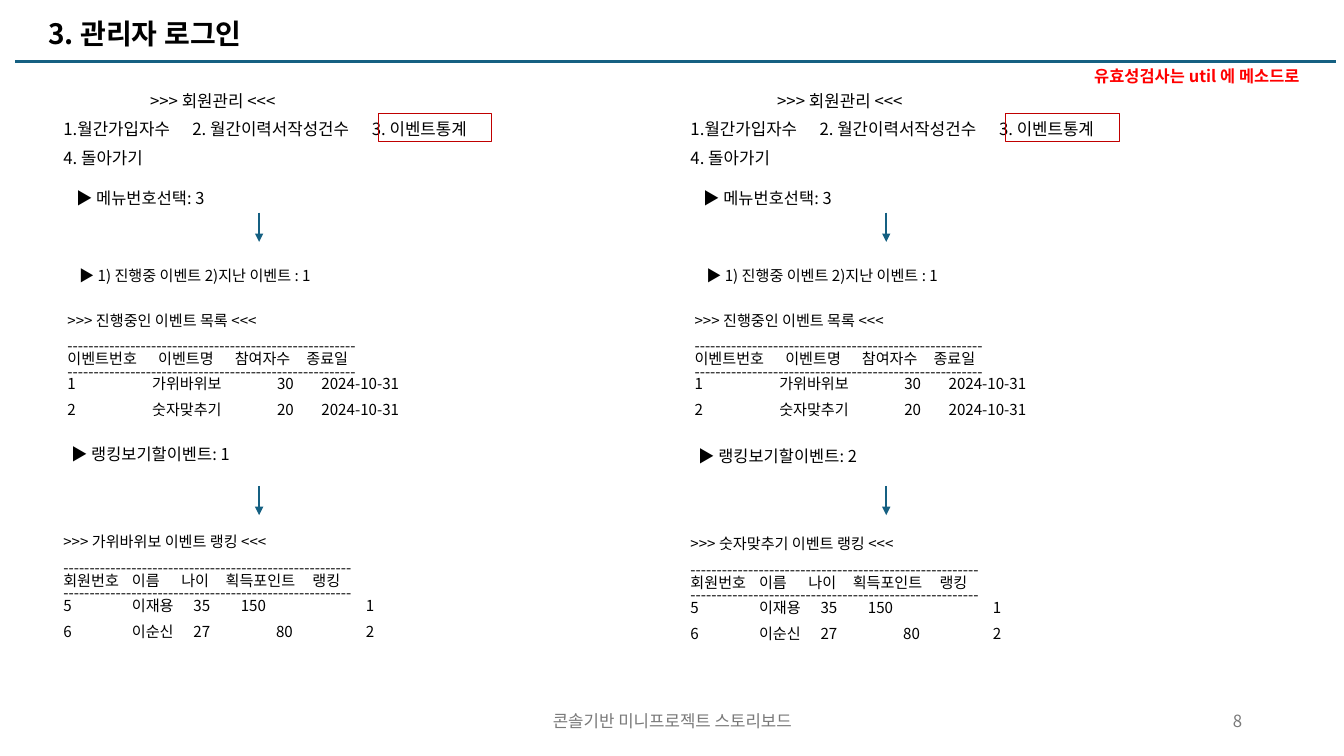
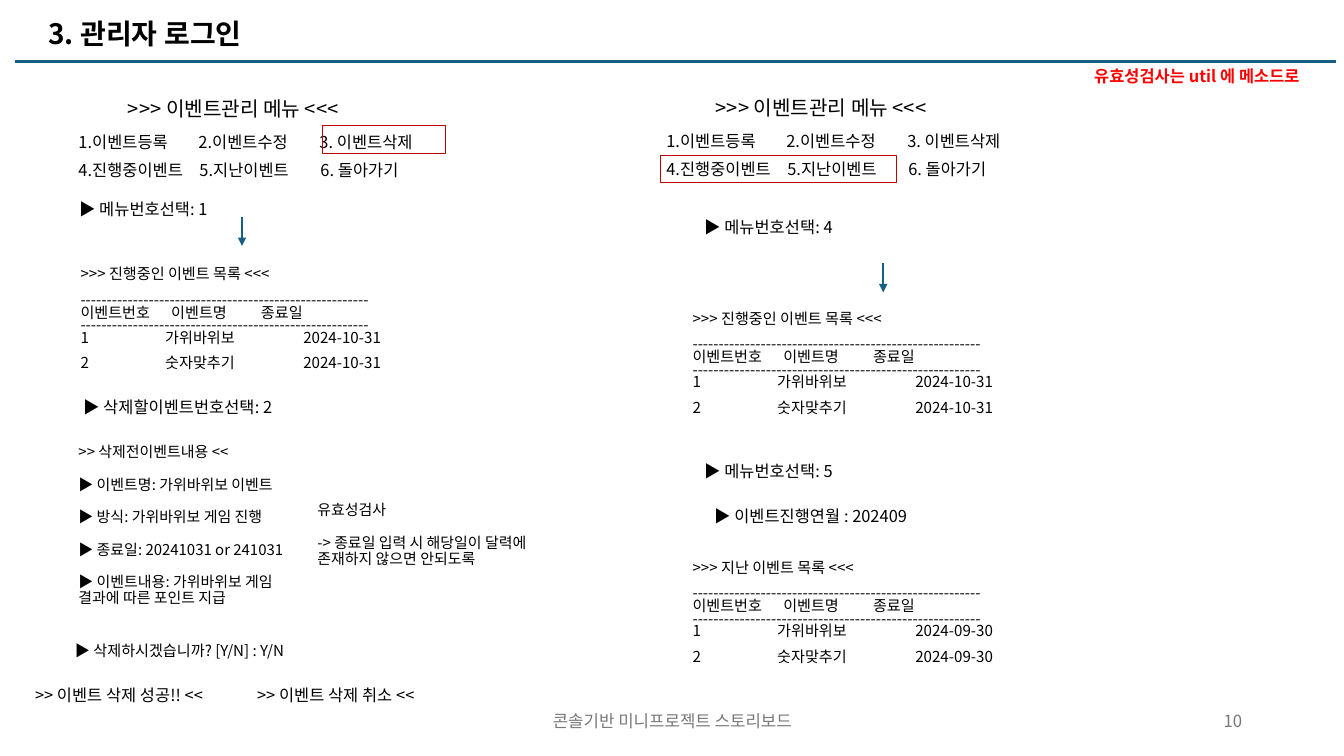
from collections import namedtuple
from dataclasses import dataclass

from lxml import etree
from pptx import Presentation
from pptx.dml.color import RGBColor
from pptx.enum.shapes import MSO_CONNECTOR, MSO_SHAPE
from pptx.enum.text import MSO_ANCHOR, MSO_AUTO_SIZE, PP_ALIGN
from pptx.oxml.ns import qn
from pptx.util import Inches, Pt

LEFT, CENTER, RIGHT = PP_ALIGN.LEFT, PP_ALIGN.CENTER, PP_ALIGN.RIGHT
MIDDLE, BOTTOM = MSO_ANCHOR.MIDDLE, MSO_ANCHOR.BOTTOM
NO_FIT = MSO_AUTO_SIZE.NONE
STRAIGHT = MSO_CONNECTOR.STRAIGHT
RECTANGLE = MSO_SHAPE.RECTANGLE


@dataclass(frozen=True)
class Theme:
    font: str = "Noto Sans CJK KR"
    ink: RGBColor = RGBColor(0x00, 0x00, 0x00)
    muted: RGBColor = RGBColor(0x79, 0x79, 0x79)
    accent: RGBColor = RGBColor(0x15, 0x60, 0x82)
    alert: RGBColor = RGBColor(0xFF, 0x00, 0x00)
    mark: RGBColor = RGBColor(0xC0, 0x00, 0x00)
    title: float = 20
    heading: float = 14.4
    menu: float = 12
    prompt: float = 11.7
    listing: float = 10.8
    detail: float = 10.7
    normal: float = 0.9
    tight: float = 0.7


THEME = Theme()
Line = namedtuple("Line", "text stops gap size", defaults=((), 0, None))

RULE = "-" * 55
EVENT_HEADER = Line("이벤트번호\t이벤트명\t참여자수\t종료일", (0.9, 1.66, 2.37))
EVENT_STOPS = (0.84, 2.08, 2.52)
SHORT_HEADER = Line("이벤트번호\t이벤트명\t종료일", (0.9, 1.79))
SHORT_STOPS = (0.84, 2.21)
RANK_HEADER = Line("회원번호\t이름\t나이\t획득포인트\t랭킹", (0.68, 1.17, 1.61, 2.47))
RANK_ROWS = [
    Line("5\t이재용\t35\t150\t1", (0.68, 1.29, 1.76, 3.0)),
    Line("6\t이순신\t27\t80\t2", (0.68, 1.29, 2.11, 3.0)),
]
GAMES = ("가위바위보", "숫자맞추기")


def style(para, size, color=THEME.ink, bold=False, align=LEFT, spacing=None):
    para.alignment = align
    para.line_spacing = spacing
    font = para.font
    font.size, font.bold = Pt(size), bold
    font.color.rgb = color
    font.name = THEME.font
    defaults = para._p.get_or_add_pPr().find(qn("a:defRPr"))
    etree.SubElement(defaults, qn("a:ea"), typeface=THEME.font)


def set_stops(para, stops):
    if stops:
        tabs = etree.SubElement(para._p.get_or_add_pPr(), qn("a:tabLst"))
        for stop in stops:
            etree.SubElement(tabs, qn("a:tab"), pos=str(Inches(stop)), algn="l")


def add_text(page, left, top, width, height, lines, size, ratio=THEME.normal,
             color=THEME.ink, bold=False, align=LEFT, anchor=BOTTOM, foot=0.05):
    box = page.shapes.add_textbox(Inches(left), Inches(top), Inches(width), Inches(height))
    frame = box.text_frame
    frame.word_wrap = True
    frame.auto_size = NO_FIT
    frame.vertical_anchor = anchor
    frame.margin_bottom = Inches(foot)
    pitch = round(size * 1.2 * ratio, 1)
    for index, line in enumerate(lines):
        para = frame.paragraphs[0] if index == 0 else frame.add_paragraph()
        para.text = line.text
        set_stops(para, line.stops)
        para.space_before = Pt(round(line.gap * pitch, 1))
        style(para, line.size or size, color, bold, align, Pt(pitch))


def add_line(page, left, top, right, bottom, arrow=False):
    line = page.shapes.add_connector(
        STRAIGHT, Inches(left), Inches(top), Inches(right), Inches(bottom))
    line.line.color.rgb = THEME.accent
    line.line.width = Pt(1.5)
    if arrow:
        etree.SubElement(line.line._get_or_add_ln(), qn("a:tailEnd"), type="triangle")
    etree.SubElement(line._element.spPr, qn("a:effectLst"))


def add_arrow(page, left, top):
    add_line(page, left, top, left, top + 0.29, arrow=True)


def add_highlight(page, left, top, width):
    box = page.shapes.add_shape(
        RECTANGLE, Inches(left), Inches(top), Inches(width), Inches(0.27))
    box.shadow.inherit = False
    box.fill.background()
    box.line.color.rgb = THEME.mark
    box.line.width = Pt(0.75)


def add_prompt(page, left, top, text, width=2.52, size=THEME.prompt, **look):
    add_text(page, left, top, width, 0.29, [Line(text)], size, align=CENTER, **look)


def add_listing(page, left, top, width, height, heading, header, rows, foot=0.05):
    lines = [Line(f">>> {heading} <<<"), Line(RULE, gap=1), header, Line(RULE)]
    lines += [row._replace(gap=min(index, 1)) for index, row in enumerate(rows)]
    add_text(page, left, top, width, height, lines, THEME.listing, THEME.tight, foot=foot)


def add_event_list(page, left, top, heading, date):
    rows = [Line(f"{number}\t{game}\t{date}", SHORT_STOPS)
            for number, game in enumerate(GAMES, 1)]
    add_listing(page, left, top, 3.99, 1.18, heading, SHORT_HEADER, rows)


def add_event_menu(page, left, top):
    lines = [
        Line("\t>>> 이벤트관리 메뉴 <<<", (0.49,), size=THEME.heading),
        Line("1.이벤트등록\t2.이벤트수정\t3. 이벤트삭제", (1.19, 2.39), 1.3),
        Line("4.진행중이벤트\t5.지난이벤트\t6. 돌아가기", (1.2, 2.4), 1),
    ]
    add_text(page, left, top, 4.82, 0.92, lines, THEME.prompt, THEME.tight)


def add_page(deck, number):
    page = deck.slides.add_slide(deck.slide_layouts[5])
    title = page.shapes.title
    title.left, title.top = Inches(0.38), Inches(0.16)
    title.width, title.height = Inches(3.92), Inches(0.38)
    frame = title.text_frame
    frame.text = "3. 관리자 로그인"
    frame.auto_size = NO_FIT
    frame.vertical_anchor = MIDDLE
    style(frame.paragraphs[0], THEME.title, bold=True, spacing=THEME.normal)
    add_line(page, 0.15, 0.61, 13.25, 0.61)
    add_prompt(page, 10.63, 0.61, "유효성검사는 util 에 메소드로 ", color=THEME.alert, bold=True)
    for left, width, text, align in (
        (4.42, 4.5, "콘솔기반 미니프로젝트 스토리보드", CENTER),
        (9.42, 3, str(number), RIGHT),
    ):
        add_text(page, left, 6.95, width, 0.4, [Line(text)], THEME.menu, 1,
                 THEME.muted, align=align, anchor=MIDDLE)
    return page


def add_ranking_flow(page, left, choice, drop):
    menu = [
        Line("\t>>> 회원관리 <<<", (0.86,)),
        Line("1.월간가입자수\t2. 월간이력서작성건수\t3. 이벤트통계", (1.28, 3.06), 1),
        Line("4. 돌아가기", gap=1),
    ]
    add_text(page, left + 0.53, 0.79, 4.71, 0.92, menu, THEME.menu, THEME.tight)
    add_highlight(page, left + 3.75, 1.13, 1.13)
    add_prompt(page, left + 0.15, 1.82, "▶ 메뉴번호선택: 3 ")
    add_arrow(page, left + 2.57, 2.11)
    add_prompt(page, left + 0.53, 2.58, "▶ 1) 진행중 이벤트 2)지난 이벤트 : 1 ",
               width=2.84, size=THEME.listing)
    rows = [Line(f"{number}\t{game}\t{count}\t2024-10-31", EVENT_STOPS)
            for number, (game, count) in enumerate(zip(GAMES, (30, 20)), 1)]
    add_listing(page, left + 0.57, 3.02, 3.99, 1.18, "진행중인 이벤트 목록", EVENT_HEADER, rows)
    add_prompt(page, left + 0.25, 4.36 + drop, f"▶ 랭킹보기할이벤트: {choice} ")
    add_arrow(page, left + 2.57, 4.82)
    add_listing(page, left + 0.53, 5.51 + drop, 4.47, 1.14,
                f"{GAMES[choice - 1]} 이벤트 랭킹", RANK_HEADER, RANK_ROWS, foot=0.3)


def add_delete_flow(page, left):
    add_event_menu(page, left, 0.91)
    add_highlight(page, left + 2.52, 1.25, 1.22)
    add_prompt(page, left - 0.5, 1.93, "▶ 메뉴번호선택: 1 ")
    add_arrow(page, left + 1.72, 2.15)
    add_event_list(page, left + 0.02, 2.56, "진행중인 이벤트 목록", "2024-10-31")
    add_prompt(page, left - 0.16, 3.89, "▶ 삭제할이벤트번호선택: 2 ")
    details = (
        ">> 삭제전이벤트내용 <<",
        "▶ 이벤트명: 가위바위보 이벤트",
        "▶ 방식: 가위바위보 게임 진행",
        "▶ 종료일: 20241031 or 241031",
        "▶ 이벤트내용: 가위바위보 게임 결과에 따른 포인트 지급",
    )
    checks = ("유효성검사", "-> 종료일 입력 시 해당일이 달력에 존재하지 않으면 안되도록")
    for offset, top, height, texts, foot in (
        (0, 4.02, 2.37, details, 0.37),
        (2.37, 4.66, 1.02, checks, 0.05),
    ):
        lines = [Line(text, gap=1) for text in texts]
        add_text(page, left + offset, top, 2.52, height, lines, THEME.detail, foot=foot)
    add_prompt(page, left - 0.16, 6.3, "▶ 삭제하시겠습니까? [Y/N] : Y/N", size=THEME.listing)
    add_prompt(page, left - 0.76, 6.75, ">> 이벤트 삭제 성공!! <<")
    add_prompt(page, left + 1.39, 6.75, ">> 이벤트 삭제 취소 <<")


def add_browse_flow(page, left):
    add_event_menu(page, left, 0.9)
    add_highlight(page, left + 0.04, 1.54, 2.34)
    add_prompt(page, left - 0.13, 2.11, "▶ 메뉴번호선택: 4 ")
    add_arrow(page, left + 2.25, 2.61)
    add_event_list(page, left + 0.26, 3, "진행중인 이벤트 목록", "2024-10-31")
    add_prompt(page, left - 0.13, 4.53, "▶ 메뉴번호선택: 5 ")
    add_prompt(page, left + 0.27, 4.98, "▶ 이벤트진행연월 : 202409")
    add_event_list(page, left + 0.26, 5.47, "지난 이벤트 목록", "2024-09-30")


def main():
    deck = Presentation()
    deck.slide_width, deck.slide_height = Inches(13.33), Inches(7.5)
    statistics = add_page(deck, 8)
    add_ranking_flow(statistics, 0, 1, 0)
    add_ranking_flow(statistics, 6.22, 2, 0.02)
    events = add_page(deck, 10)
    add_delete_flow(events, 0.68)
    add_browse_flow(events, 6.51)
    deck.save("out.pptx")


if __name__ == "__main__":
    main()
